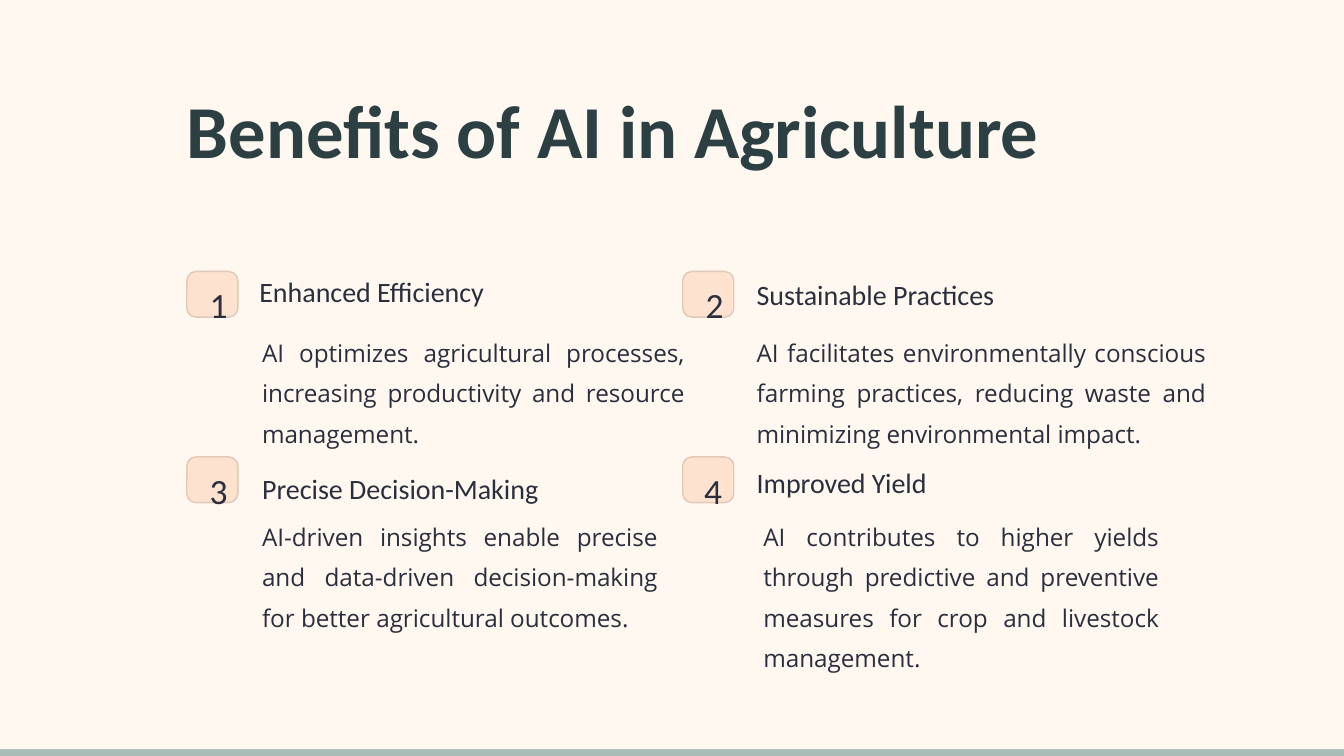
"""Build a slide listing four benefits of AI in agriculture."""
import pptx
import pptx.dml.color
import pptx.enum.shapes
import pptx.enum.text
import pptx.util

Inches = pptx.util.Inches
SHAPES = pptx.enum.shapes.MSO_SHAPE
ALIGN = pptx.enum.text.PP_ALIGN
INK = "2B2E3C"
SLIDE_WIDTH = 10
SLIDE_HEIGHT = SLIDE_WIDTH * 9 / 16

presentation = pptx.Presentation()
presentation.slide_width = Inches(SLIDE_WIDTH)
presentation.slide_height = Inches(SLIDE_HEIGHT)
slide = presentation.slides.add_slide(presentation.slide_layouts[6])


def add_block(kind, box, fill, line=None):
    shape = slide.shapes.add_shape(kind, *map(Inches, box))
    shape.shadow.inherit = False
    shape.fill.solid()
    shape.fill.fore_color.rgb = pptx.dml.color.RGBColor.from_string(fill)
    if line:
        shape.line.color.rgb = pptx.dml.color.RGBColor.from_string(line)
        shape.line.width = pptx.util.Pt(0.75)
    else:
        shape.line.fill.background()
    return shape


def add_text(text, box, size, spacing, font="Calibri", color=INK, align=ALIGN.LEFT, bold=False):
    text_frame = slide.shapes.add_textbox(*map(Inches, box)).text_frame
    text_frame.word_wrap = True
    text_frame.margin_left = text_frame.margin_right = Inches(0.06)
    text_frame.margin_top = text_frame.margin_bottom = Inches(0.03)
    text_frame.text = text
    paragraph = text_frame.paragraphs[0]
    paragraph.alignment = align
    paragraph.line_spacing = spacing
    run = paragraph.runs[0]
    run.font.name = font
    run.font.size = pptx.util.Pt(size)
    run.font.bold = bold
    run.font.color.rgb = pptx.dml.color.RGBColor.from_string(color)


for top, fill in ((0, "AABCB6"), (-0.05, "FFF8F0")):
    add_block(SHAPES.RECTANGLE, (0, top, 11.02, SLIDE_HEIGHT), fill)

add_text("Benefits of AI in Agriculture", (1.33, 0.7, 8.45, 0.52), 40, 0.85,
         color="2C3F42", bold=True)

benefits = [
    ("Enhanced Efficiency", (1.87, 1.98, 3.46, 0.67),
     "AI optimizes agricultural processes, increasing productivity and resource management.",
     (1.89, 2.4, 3.26, 0.73), (1.52, 0.1)),
    ("Sustainable Practices", (5.57, 2, 4.36, 0.24),
     "AI facilitates environmentally conscious farming practices, reducing waste and "
     "minimizing environmental impact.",
     (5.57, 2.4, 3.46, 1.22), (5.19, 0.13)),
    ("Precise Decision-Making", (1.89, 3.45, 2.91, 0.33),
     "AI-driven insights enable precise and data-driven decision-making for better "
     "agricultural outcomes.",
     (1.89, 3.77, 3.06, 0.73), (1.5, 0.14)),
    ("Improved Yield", (5.57, 3.4, 4.18, 0.62),
     "AI contributes to higher yields through predictive and preventive measures for crop "
     "and livestock management.",
     (5.62, 3.77, 3.06, 0.73), (5.18, 0.14)),
]
for index, (heading, heading_box, body, body_box, number_span) in enumerate(benefits):
    row, column = divmod(index, 2)
    left = 1.39 + 3.69 * column
    top = 2.02 + 1.38 * row
    badge = add_block(SHAPES.ROUNDED_RECTANGLE, (left, top, 0.38, 0.34), "FCE2CF", "E2C8B5")
    badge.adjustments[0] = 0.2
    number_left, number_width = number_span
    add_text(str(index + 1), (number_left, top + 0.03, number_width, 0.28), 19, 1.09,
             align=ALIGN.CENTER)
    add_text(heading, heading_box, 15, 1.13)
    add_text(body, body_box, 13, 1.39, font="Open Sans", align=ALIGN.JUSTIFY)

presentation.save("out.pptx")
